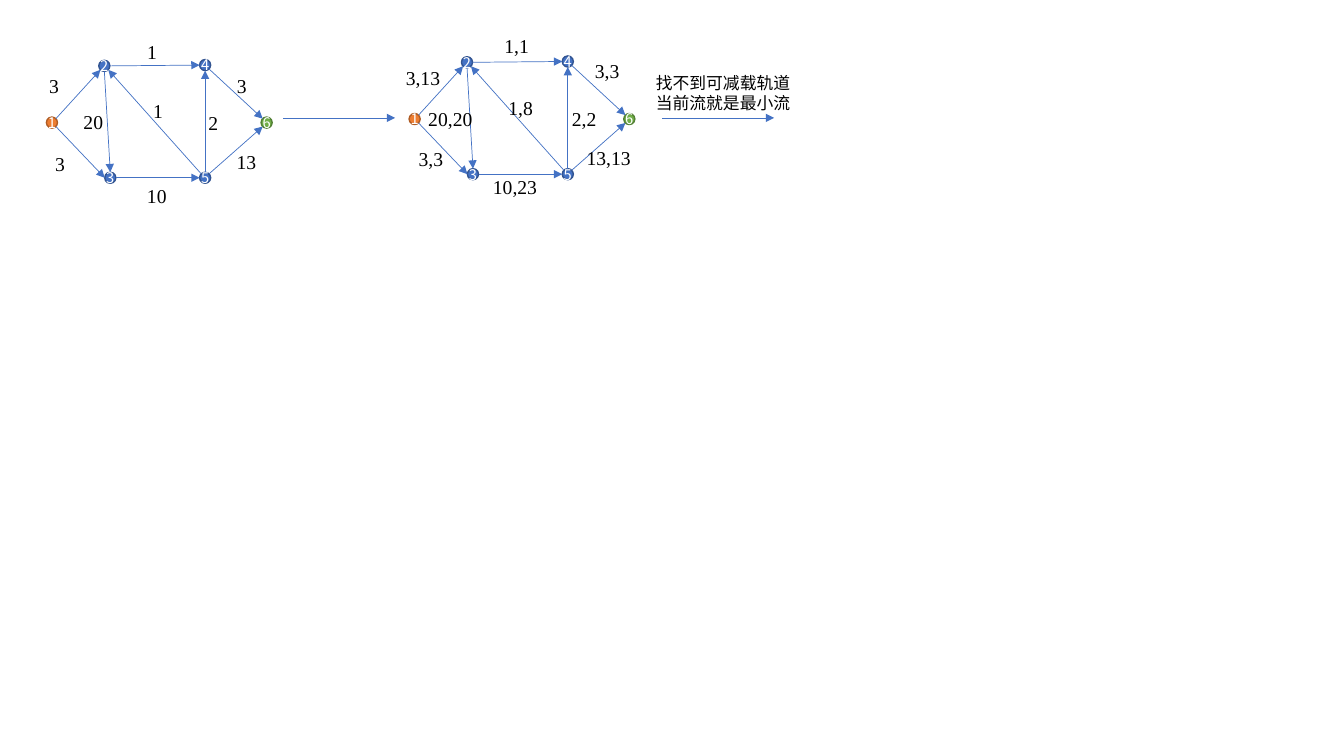
import math
from dataclasses import dataclass

import pptx
import pptx.dml.color
import pptx.enum.shapes
import pptx.enum.text
import pptx.oxml.ns
import pptx.util
from lxml import etree

Cm, Pt = pptx.util.Cm, pptx.util.Pt
qn = pptx.oxml.ns.qn
RGB = pptx.dml.color.RGBColor.from_string
ALIGN = pptx.enum.text.PP_ALIGN
MIDDLE = pptx.enum.text.MSO_ANCHOR.MIDDLE


@dataclass(frozen=True)
class Theme:
    text: str = "000000"
    node_text: str = "FFFFFF"
    edge: str = "4472C4"
    inner: tuple = ("4472C4", "325491")
    source: tuple = ("ED7D31", "AF5C24")
    sink: tuple = ("70AD47", "538035")
    serif: str = "Times New Roman"
    sans: str = "Noto Sans CJK SC"
    node_size: float = 10.5
    label_size: float = 14
    caption_size: float = 12
    edge_width: float = 0.5
    node_line: float = 1


NODE_D = 0.28
# Centres in cm, in drawing order
NODES = {2: (2.63, 1.66), 1: (1.31, 3.09), 3: (2.78, 4.48),
         4: (5.17, 1.64), 6: (6.72, 3.09), 5: (5.17, 4.48)}
# Start node and site, end node and site; sites 0-7 run anticlockwise from the top
EDGES = [(1, 7, 2, 3), (2, 6, 4, 2), (4, 5, 6, 1), (5, 7, 6, 3), (1, 5, 3, 2),
         (3, 6, 5, 2), (2, 4, 3, 0), (5, 0, 4, 4), (5, 1, 2, 5)]
# Text and centre in cm of each edge label
CAPACITIES = [("3", 1.37, 2.18), ("3", 1.52, 4.14), ("20", 2.36, 3.07),
              ("1", 3.99, 2.79), ("2", 5.38, 3.1), ("13", 6.22, 4.09),
              ("3", 6.1, 2.18), ("10", 3.96, 4.93), ("1", 3.84, 1.32)]
FLOWS = [("3,13", 10.66, 1.96), ("3,3", 10.86, 4.01), ("20,20", 11.35, 3),
         ("1,8", 13.12, 2.72), ("2,2", 14.72, 3), ("13,13", 15.34, 3.99),
         ("3,3", 15.3, 1.8), ("10,23", 12.98, 4.72), ("1,1", 13.02, 1.17)]
GRAPHS = [(0, 0, CAPACITIES, ALIGN.LEFT), (9.14, -0.09, FLOWS, ALIGN.CENTER)]
STEP_ARROWS = [7.14, 16.69]
STEP_Y, STEP_LENGTH = 2.97, 2.82
CAPTION = ["找不到可减载轨道", "当前流就是最小流"]


def site_point(centre, site):
    angle = site * math.pi / 4
    r = NODE_D / 2
    return centre[0] - r * math.sin(angle), centre[1] - r * math.cos(angle)


class SlideBuilder:
    def __init__(self, slide, theme):
        self.s, self.theme = slide, theme

    def put_lines(self, tf, lines, align, color, **font):
        for i, line in enumerate(lines):
            p = tf.paragraphs[0] if i == 0 else tf.add_paragraph()
            p.alignment = align
            r = p.add_run()
            r.text = line
            for name, value in font.items():
                setattr(r.font, name, value)
            r.font.color.rgb = RGB(color)
            etree.SubElement(r._r.get_or_add_rPr(), qn("a:ea"), typeface=self.theme.sans)

    def node(self, number, x, y, colors):
        sp = self.s.shapes.add_shape(
            pptx.enum.shapes.MSO_SHAPE.OVAL, Cm(x - NODE_D / 2), Cm(y - NODE_D / 2),
            Cm(NODE_D), Cm(NODE_D))
        sp.shadow.inherit = False
        sp.fill.solid()
        sp.fill.fore_color.rgb = RGB(colors[0])
        sp.line.color.rgb = RGB(colors[1])
        sp.line.width = Pt(self.theme.node_line)
        tf = sp.text_frame
        frame = dict(margin_left=0, margin_right=0, margin_top=0, margin_bottom=0,
                     word_wrap=False, vertical_anchor=MIDDLE)
        for name, value in frame.items():
            setattr(tf, name, value)
        self.put_lines(tf, [str(number)], ALIGN.CENTER, self.theme.node_text,
                       name=self.theme.sans, size=Pt(self.theme.node_size))
        return sp

    def arrow(self, start, end):
        c = self.s.shapes.add_connector(
            pptx.enum.shapes.MSO_CONNECTOR.STRAIGHT, *map(Cm, start + end))
        c.line.color.rgb = RGB(self.theme.edge)
        c.line.width = Pt(self.theme.edge_width)
        props = c._element.spPr
        etree.SubElement(props.find(qn("a:ln")), qn("a:tailEnd"), type="triangle")
        etree.SubElement(props, qn("a:effectLst"))
        return c

    def glue(self, c, *ends):
        """Attach both connector ends to (shape, site) pairs of ovals."""
        props = c._element.find(".//" + qn("p:cNvCxnSpPr"))
        for tag, (sp, site) in zip(("a:stCxn", "a:endCxn"), ends):
            etree.SubElement(props, qn(tag), id=str(sp.shape_id), idx=str(site))

    def text(self, lines, x, y, w, h, size, align=ALIGN.LEFT):
        sp = self.s.shapes.add_textbox(Cm(x), Cm(y), Cm(w), Cm(h))
        tf = sp.text_frame
        tf.word_wrap = False
        tf.auto_size = pptx.enum.text.MSO_AUTO_SIZE.SHAPE_TO_FIT_TEXT
        self.put_lines(tf, lines, align, self.theme.text,
                       name=self.theme.serif, size=Pt(size))

    def edge_label(self, label, x, y, align):
        """Centre a label on a point, in a box as wide as its digits and comma."""
        commas = label.count(",")
        w = 0.51 + 0.25 * (len(label) - commas) + 0.12 * commas
        h = 0.86
        self.text([label], x - w / 2, y - h / 2, w, h, self.theme.label_size, align)

    def graph(self, dx, dy, labels, align):
        centres = {n: (x + dx, y + dy) for n, (x, y) in NODES.items()}
        colors = {1: self.theme.source, 6: self.theme.sink}
        nodes = {n: self.node(n, x, y, colors.get(n, self.theme.inner))
                 for n, (x, y) in centres.items()}
        for a, a_site, b, b_site in EDGES:
            c = self.arrow(site_point(centres[a], a_site), site_point(centres[b], b_site))
            self.glue(c, (nodes[a], a_site), (nodes[b], b_site))
        for label, x, y in labels:
            self.edge_label(label, x, y, align)


def main():
    prs = pptx.Presentation()
    prs.slide_width, prs.slide_height = Cm(33.87), Cm(19.05)
    theme = Theme()
    b = SlideBuilder(prs.slides.add_slide(prs.slide_layouts[6]), theme)
    for graph in GRAPHS:
        b.graph(*graph)
    for x in STEP_ARROWS:
        b.arrow((x, STEP_Y), (x + STEP_LENGTH, STEP_Y))
    b.text(CAPTION, 16.28, 1.7, 3.94, 1.27, theme.caption_size)
    prs.save("out.pptx")


if __name__ == "__main__":
    main()
